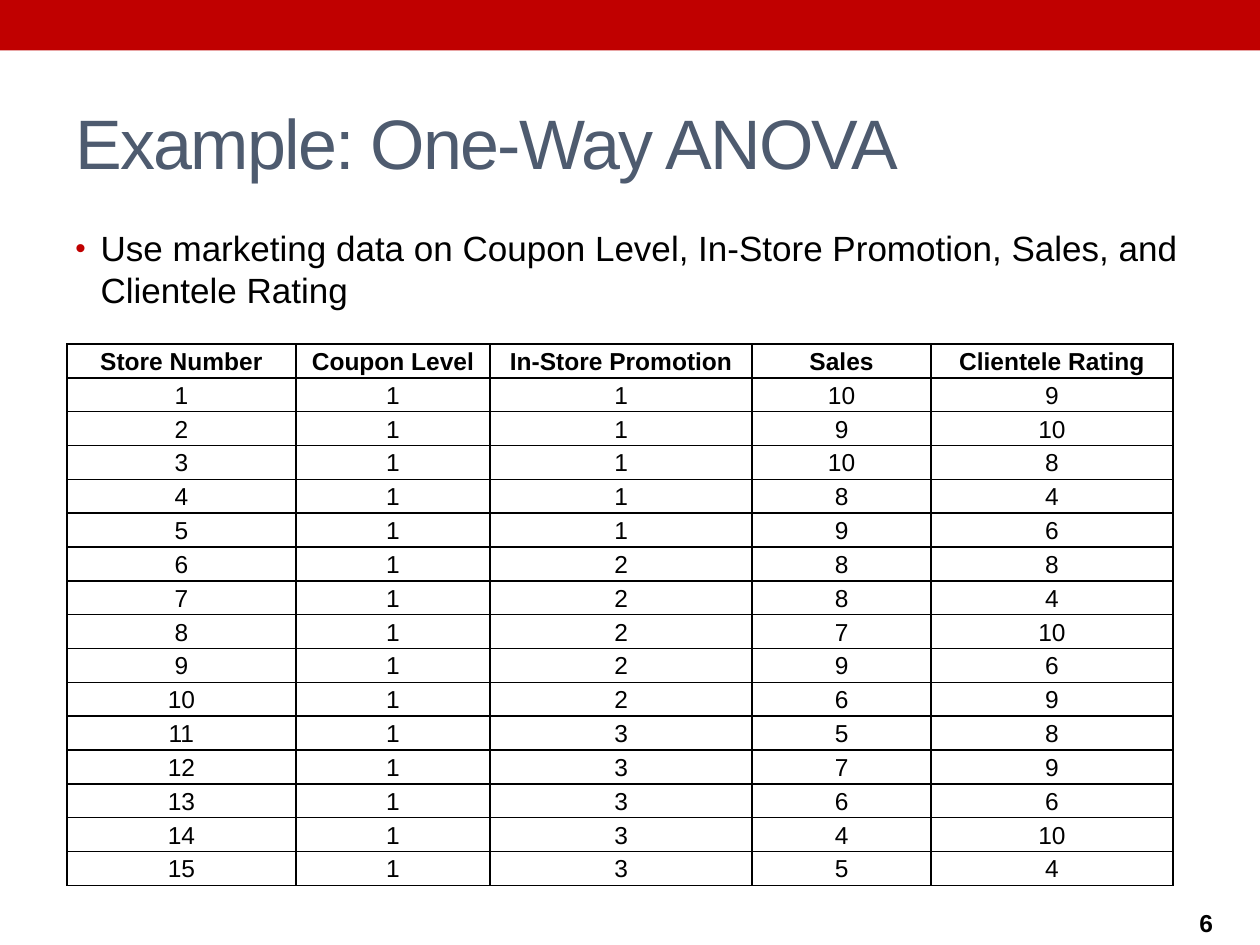
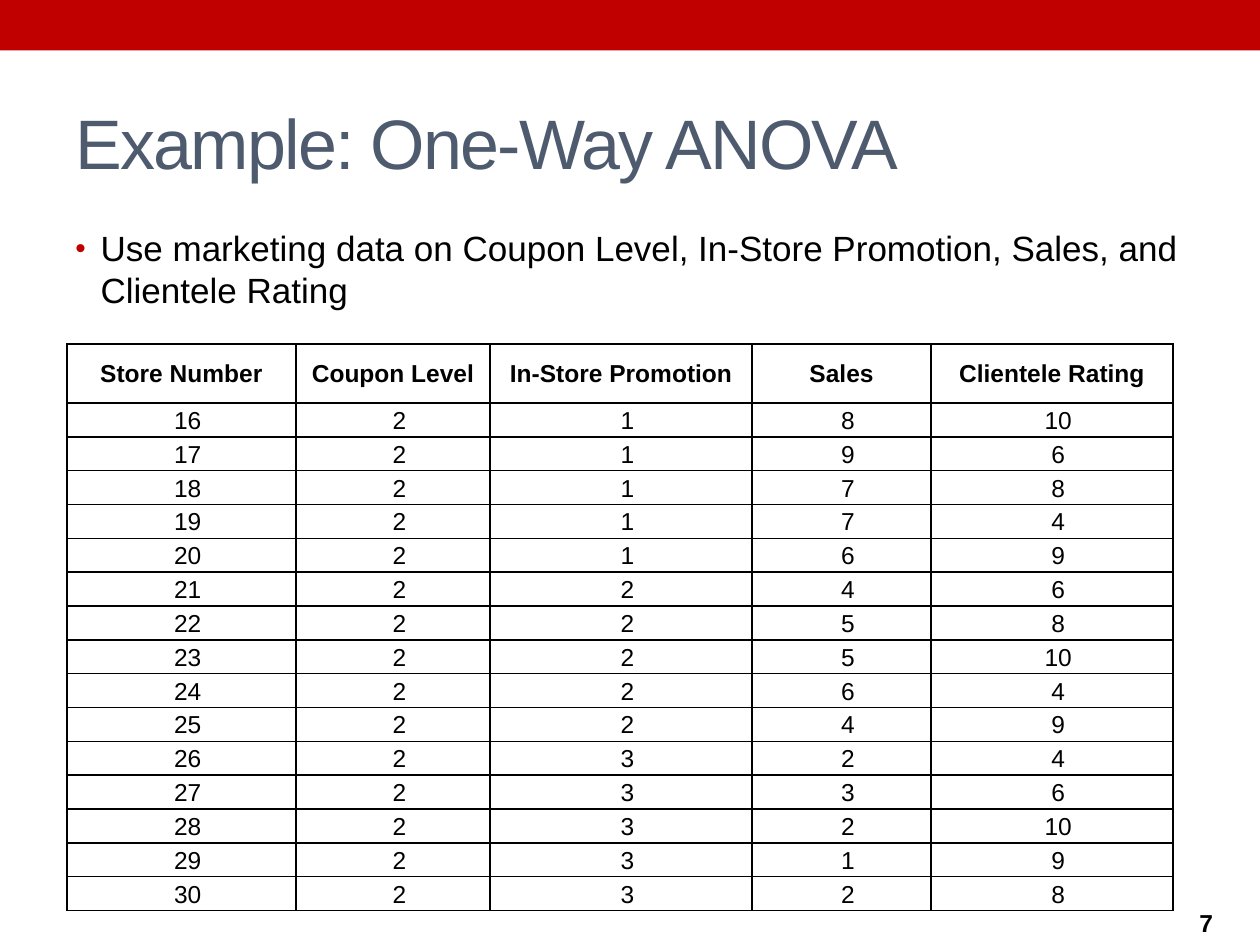
from lxml import etree
from pptx import Presentation
from pptx.dml.color import RGBColor
from pptx.enum.shapes import MSO_SHAPE
from pptx.enum.text import MSO_ANCHOR, MSO_AUTO_SIZE, PP_ALIGN
from pptx.oxml.ns import qn
from pptx.util import Inches, Pt

RECTANGLE = MSO_SHAPE.RECTANGLE
TOP, MIDDLE = MSO_ANCHOR.TOP, MSO_ANCHOR.MIDDLE
LEFT, CENTER = PP_ALIGN.LEFT, PP_ALIGN.CENTER
NO_FIT = MSO_AUTO_SIZE.NONE

COLOURS = {"band": "C00000", "title": "4E5B6F", "text": "000000", "line": "000000"}
FONT = "Arial"
UNIT = Inches(0.1)
COLUMNS, ROWS = 100, 75
TITLE_ONLY = 5

BAND_BOX = (0, 0, COLUMNS, 4)
TITLE_BOX = (5, 5.8, 90, 10.8)
BODY_BOX = (5, 17.5, 90, 50.8)
NUMBER_BOX = (94.2, 71.4, 11.7, 3.6)
TABLE_BOX = (5.3, 27.3, 87.8, 37)

TITLE = "Example: One-Way ANOVA"
BULLET = ("Use marketing data on Coupon Level, In-Store Promotion, "
          "Sales, and Clientele Rating")
HEADERS = ["Store Number", "Coupon Level", "In-Store Promotion", "Sales",
           "Clientele Rating"]
COLUMN_WIDTHS = [18.2, 15.4, 20.8, 14.2, 19.2]
HEADER_HEIGHT, ROW_HEIGHT = 2.5, 2.3
STORES_PER_PROMOTION = 5

PAGES = [
    {"number": 6, "first_store": 1, "coupon": 1,
     "sales": [10, 9, 10, 8, 9, 8, 8, 7, 9, 6, 5, 7, 6, 4, 5],
     "ratings": [9, 10, 8, 4, 6, 8, 4, 10, 6, 9, 8, 9, 6, 10, 4],
     "header_insets": (0.1, 0, 0.1, 0), "row_insets": (0.1, 0, 0.1, 0)},
    {"number": 7, "first_store": 16, "coupon": 2,
     "sales": [8, 9, 7, 7, 6, 4, 5, 5, 6, 4, 2, 3, 2, 1, 2],
     "ratings": [10, 6, 8, 4, 9, 6, 8, 10, 4, 9, 4, 6, 10, 9, 8],
     "header_insets": (1, 1, 1, 1), "row_insets": (1, 0, 0, 0)},
]


def grid(length):
    """Turn grid units into a slide length."""
    return round(length * UNIT)


def apply(target, values):
    """Set each named value as an attribute of the target."""
    for name, value in values.items():
        setattr(target, name, value)


def add_child(parent, tag, **attributes):
    """Append a drawing element with the given attributes."""
    child = etree.SubElement(parent, qn(tag))
    for name, value in attributes.items():
        child.set(name, str(value))
    return child


def write(frame, text, size, colour="text", bold=False, align=LEFT):
    """Write one paragraph in the deck font and return it."""
    para = frame.paragraphs[0]
    para.alignment = align
    span = para.add_run()
    span.text = text
    apply(span.font, {"name": FONT, "size": Pt(size), "bold": bold})
    span.font.color.rgb = RGBColor.from_string(COLOURS[colour])
    return para


def add_band(page, box):
    """Draw the coloured band across the top."""
    band = page.shapes.add_shape(RECTANGLE, *map(grid, box))
    band.shadow.inherit = False
    band.fill.solid()
    band.fill.fore_color.rgb = RGBColor.from_string(COLOURS["band"])
    band.line.fill.background()


def place_title(page, box):
    """Move the title placeholder and fill it with tightened text."""
    title = page.shapes.title
    apply(title, dict(zip(("left", "top", "width", "height"), map(grid, box))))
    apply(title.text_frame, {"vertical_anchor": MIDDLE, "word_wrap": True,
                             "auto_size": NO_FIT})
    para = write(title.text_frame, TITLE, 40, "title")
    para.runs[0].font._element.set("spc", "-100")


def add_text(page, box, text, size, anchor, bold=False):
    """Add a wrapping text box and return its paragraph."""
    frame = page.shapes.add_textbox(*map(grid, box)).text_frame
    apply(frame, {"word_wrap": True, "vertical_anchor": anchor})
    return write(frame, text, size, bold=bold)


def add_bullet(page, box):
    """Add the bulleted statement above the table."""
    para = add_text(page, box, BULLET, 20, TOP)
    para.space_before = Pt(6)
    properties = para._p.get_or_add_pPr()
    properties.set("marL", str(grid(2)))
    properties.set("indent", str(grid(-2)))
    add_child(add_child(properties, "a:buClr"), "a:srgbClr", val=COLOURS["band"])
    add_child(properties, "a:buSzPct", val=85000)
    add_child(properties, "a:buFont", typeface=FONT)
    add_child(properties, "a:buChar", char="\u2022")


def format_cell(cell, text, insets, bold):
    """Write one centred cell with plain fill and thin borders."""
    names = ("margin_left", "margin_top", "margin_right", "margin_bottom")
    apply(cell, dict(zip(names, map(grid, insets))))
    para = write(cell.text_frame, text, 14, bold=bold, align=CENTER)
    para.line_spacing = 1.15
    properties = cell._tc.get_or_add_tcPr()
    for side in ("a:lnL", "a:lnR", "a:lnT", "a:lnB"):
        line = add_child(properties, side, w=Pt(1))
        add_child(add_child(line, "a:solidFill"), "a:srgbClr", val=COLOURS["line"])
    cell.fill.background()


def store_rows(data):
    """List the table rows, with promotions in equal runs of stores."""
    return [[data["first_store"] + index, data["coupon"],
             index // STORES_PER_PROMOTION + 1, sales, rating]
            for index, (sales, rating) in enumerate(zip(data["sales"], data["ratings"]))]


def add_store_table(page, box, data):
    """Add the table of stores."""
    rows = [HEADERS] + store_rows(data)
    table = page.shapes.add_table(len(rows), len(HEADERS), *map(grid, box)).table
    apply(table, {"first_row": False, "horz_banding": False})
    for column, width in zip(table.columns, COLUMN_WIDTHS):
        column.width = grid(width)
    for row_index, values in enumerate(rows):
        header = row_index == 0
        table.rows[row_index].height = grid(HEADER_HEIGHT if header else ROW_HEIGHT)
        insets = data["header_insets" if header else "row_insets"]
        for column_index, value in enumerate(values):
            format_cell(table.cell(row_index, column_index), str(value), insets, header)


def add_page(deck, data):
    """Build one slide of the example."""
    page = deck.slides.add_slide(deck.slide_layouts[TITLE_ONLY])
    add_band(page, BAND_BOX)
    place_title(page, TITLE_BOX)
    add_bullet(page, BODY_BOX)
    add_text(page, NUMBER_BOX, str(data["number"]), 14, MIDDLE, bold=True)
    add_store_table(page, TABLE_BOX, data)


def main():
    """Build and save the deck."""
    deck = Presentation()
    apply(deck, {"slide_width": grid(COLUMNS), "slide_height": grid(ROWS)})
    for data in PAGES:
        add_page(deck, data)
    deck.save("out.pptx")


main()
